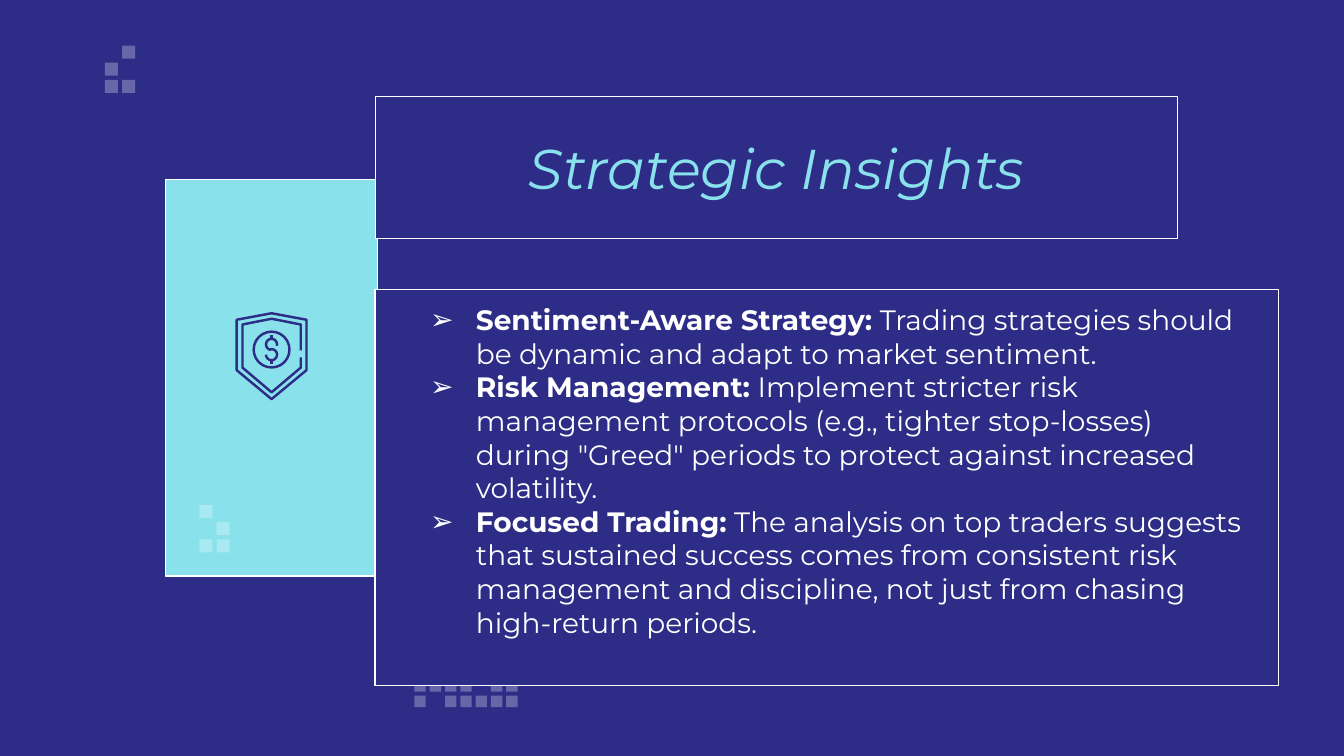
import math

from lxml import etree
from pptx import Presentation
from pptx.dml.color import RGBColor
from pptx.enum import shapes, text
from pptx.oxml import ns
from pptx.util import Pt

NAVY = RGBColor(0x2D, 0x2D, 0x87)
AQUA = RGBColor(0x89, 0xE1, 0xEC)
WHITE = RGBColor(0xFF, 0xFF, 0xFF)
FONT = "Montserrat"
INSET = 18
ICON_STROKE = 1.3

INSIGHTS = [
    ("Sentiment-Aware Strategy:",
     " Trading strategies should be dynamic and adapt to market sentiment."),
    ("Risk Management:",
     " Implement stricter risk management protocols (e.g., tighter stop-losses) "
     "during \"Greed\" periods to protect against increased volatility."),
    ("Focused Trading:",
     " The analysis on top traders suggests that sustained success comes from "
     "consistent risk management and discipline, not just from chasing "
     "high-return periods."),
]


def add_panel(page, left, top, width, height, fill):
    panel = page.shapes.add_shape(
        shapes.MSO_SHAPE.RECTANGLE, Pt(left), Pt(top), Pt(width), Pt(height))
    panel.shadow.inherit = False
    panel.fill.solid()
    panel.fill.fore_color.rgb = fill
    panel.line.color.rgb = WHITE
    panel.line.width = Pt(0.75)
    return panel


def prepare_text(panel, anchor, inset_top=INSET):
    frame = panel.text_frame
    frame.word_wrap = True
    frame.vertical_anchor = anchor
    frame.margin_left = frame.margin_right = frame.margin_bottom = Pt(INSET)
    frame.margin_top = Pt(inset_top)
    return frame


def style_span(span, size, color, bold=False, italic=False):
    span.font.name = FONT
    span.font.size = Pt(size)
    span.font.color.rgb = color
    span.font.bold = bold
    span.font.italic = italic


def add_bullet(para, char, indent, hanging):
    props = para._p.get_or_add_pPr()
    props.set("marL", str(Pt(indent)))
    props.set("indent", str(-Pt(hanging)))
    color = etree.SubElement(props, ns.qn("a:buClr"))
    etree.SubElement(color, ns.qn("a:srgbClr"), val=str(WHITE))
    etree.SubElement(props, ns.qn("a:buFont"), typeface=FONT)
    etree.SubElement(props, ns.qn("a:buChar"), char=char)


def add_pixels(page, left, top, rows, size, pitch):
    """Draw a translucent square for each # in the rows."""
    for row, marks in enumerate(rows):
        for column, mark in enumerate(marks):
            if mark != "#":
                continue
            pixel = page.shapes.add_shape(
                shapes.MSO_SHAPE.RECTANGLE,
                Pt(left + column * pitch), Pt(top + row * pitch),
                Pt(size), Pt(size))
            pixel.shadow.inherit = False
            pixel.line.fill.background()
            pixel.fill.solid()
            pixel.fill.fore_color.rgb = WHITE
            color = pixel.fill._xPr.find(".//" + ns.qn("a:srgbClr"))
            etree.SubElement(color, ns.qn("a:alpha"), val="28000")


def style_stroke(shape):
    shape.line.color.rgb = NAVY
    shape.line.width = Pt(ICON_STROKE)


def add_outline(page, points, close):
    points = [(Pt(x), Pt(y)) for x, y in points]
    builder = page.shapes.build_freeform(*points[0])
    builder.add_line_segments(points[1:], close=close)
    outline = builder.convert_to_shape()
    outline.shadow.inherit = False
    outline.fill.background()
    style_stroke(outline)


def arc(x, y, radius, start, end):
    return [(x + radius * math.cos(math.radians(angle)),
             y + radius * math.sin(math.radians(angle)))
            for angle in range(start, end, 15 if end > start else -15)]


def add_shield_icon(page, x):
    # Outer and inner shield, the inner one open on its right side
    add_outline(page, [(x, 167.8), (x + 18.7, 171.3), (x + 18.7, 198.3),
                       (x, 213.8), (x - 18.7, 198.3), (x - 18.7, 171.3)], True)
    add_outline(page, [(x + 15.6, 187.8), (x + 15.6, 173.9), (x, 170.8),
                       (x - 15.6, 173.9), (x - 15.6, 197), (x, 210.2),
                       (x + 15.6, 197), (x + 15.6, 191.5)], False)

    # Coin
    radius, middle = 9.6, 187.3
    coin = page.shapes.add_shape(
        shapes.MSO_SHAPE.OVAL, Pt(x - radius), Pt(middle - radius),
        Pt(2 * radius), Pt(2 * radius))
    coin.shadow.inherit = False
    coin.fill.background()
    style_stroke(coin)

    # Dollar sign: two lobes and two short bars
    lobe = 2.75
    add_outline(page, arc(x, middle - lobe, lobe + 0.2, 15, -270)
                + arc(x, middle + lobe, lobe + 0.2, -90, 195), False)
    for top in (middle - 7.6, middle + 5.6):
        bar = page.shapes.add_connector(
            shapes.MSO_CONNECTOR.STRAIGHT, Pt(x), Pt(top), Pt(x), Pt(top + 2))
        style_stroke(bar)
        etree.SubElement(bar._element.spPr, ns.qn("a:effectLst"))


def add_title(page):
    panel = add_panel(page, 201, 51.7, 430, 76.2, NAVY)
    frame = prepare_text(panel, text.MSO_ANCHOR.MIDDLE)
    frame.text = "Strategic Insights"
    para = frame.paragraphs[0]
    para.alignment = text.PP_ALIGN.CENTER
    style_span(para.runs[0], 30, AQUA, italic=True)


def add_insights(page):
    panel = add_panel(page, 201, 155, 484, 212.3, NAVY)
    frame = prepare_text(panel, text.MSO_ANCHOR.TOP, inset_top=7.2)
    for index, (heading, detail) in enumerate(INSIGHTS):
        para = frame.add_paragraph() if index else frame.paragraphs[0]
        para.alignment = text.PP_ALIGN.LEFT
        add_bullet(para, "➢", 36, 24.5)
        for words, bold in ((heading, True), (detail, False)):
            span = para.add_run()
            span.text = words
            style_span(span, 15, WHITE, bold=bold)


def main():
    deck = Presentation()
    deck.slide_width, deck.slide_height = Pt(720), Pt(405)
    page = deck.slides.add_slide(deck.slide_layouts[6])
    page.background.fill.solid()
    page.background.fill.fore_color.rgb = NAVY

    # Background pixels
    add_pixels(page, 56.2, 24.4, [".#", "#.", "##"], 7, 9.2)
    add_pixels(page, 222, 364.5, ["####.##", "#.#####"], 6.1, 8.2)

    # Panels
    add_panel(page, 88.8, 96.3, 113.4, 212.3, AQUA)
    add_title(page)
    add_insights(page)

    # Card decoration
    add_pixels(page, 106.8, 270.5, ["#.", ".#", "##"], 7, 9.2)
    add_shield_icon(page, 145.5)

    deck.save("out.pptx")


if __name__ == "__main__":
    main()
